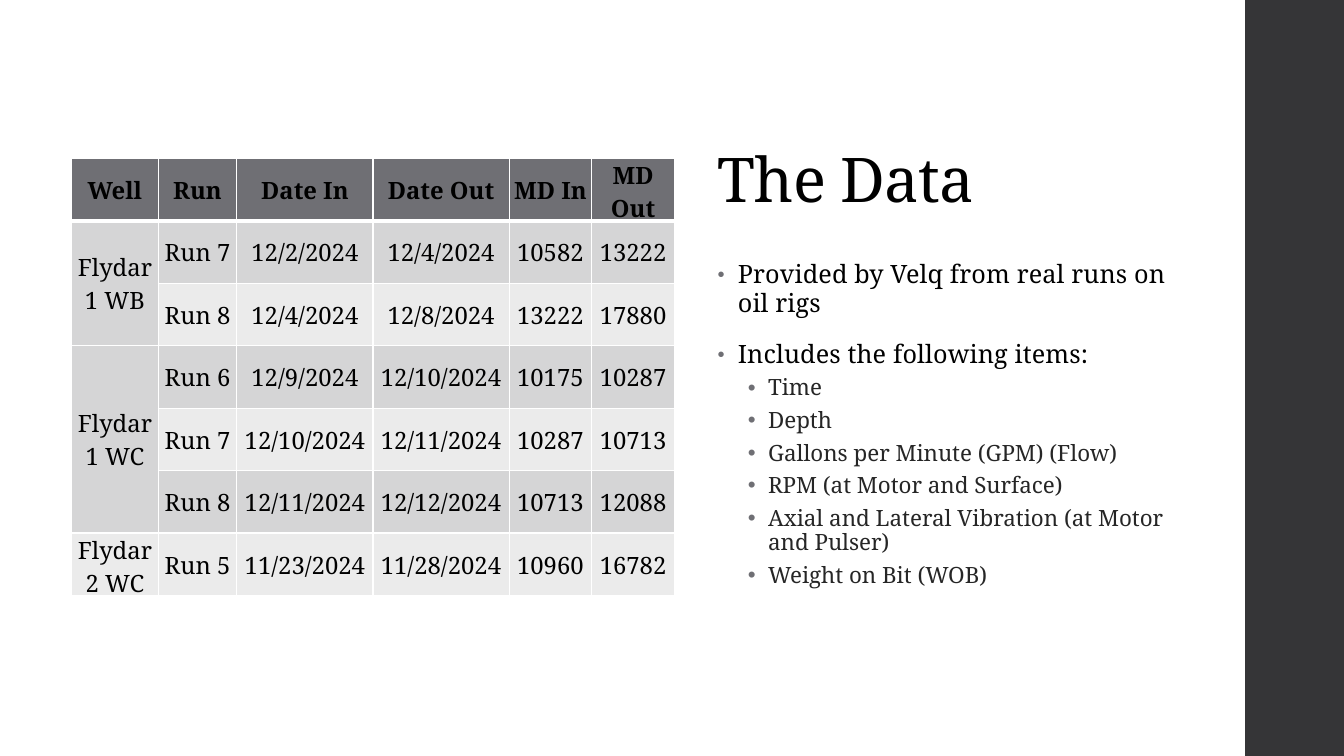
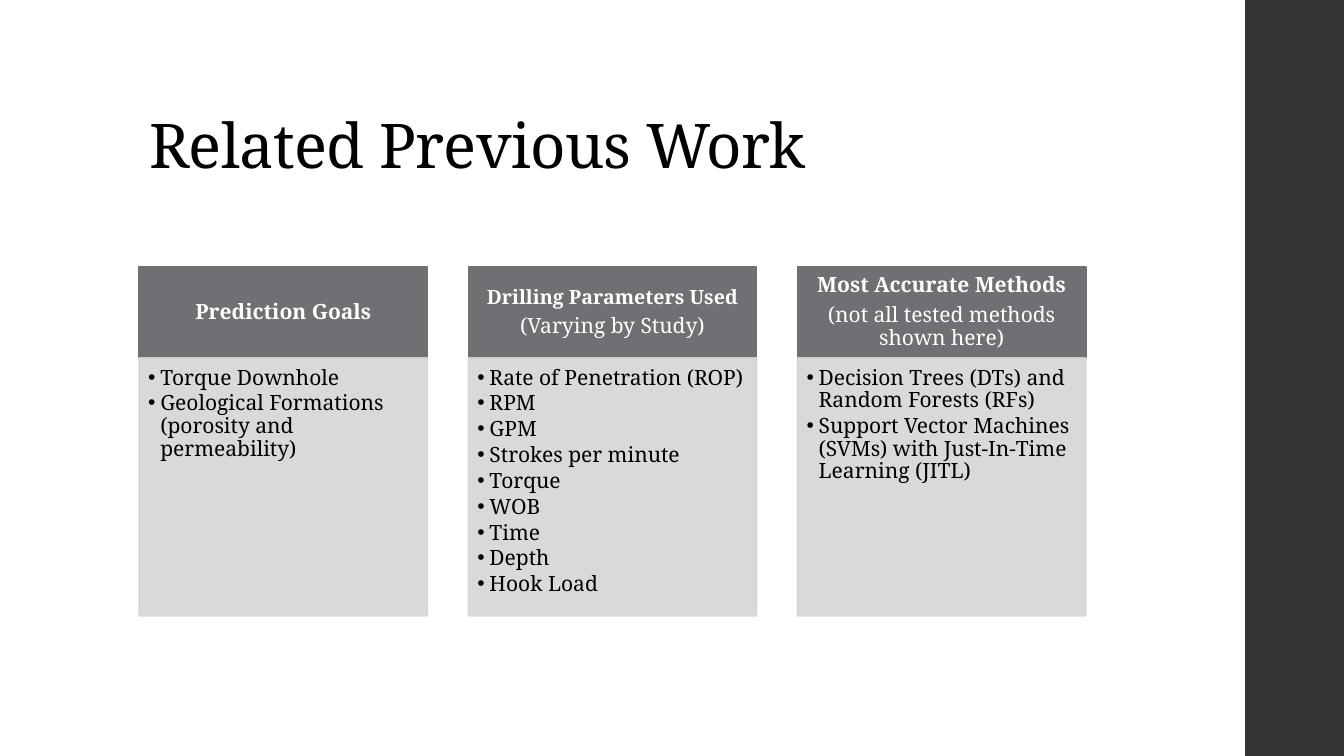
"""Builds two slides: the drilling data table and the related previous work."""
from dataclasses import dataclass
from typing import Optional

from lxml import etree
from pptx import Presentation
from pptx import util as u
from pptx.dml.color import RGBColor
from pptx.enum import shapes, text
from pptx.oxml import ns

FONT = "Noto Serif"
BLACK, WHITE, INK = "000000", "FFFFFF", "262626"
BAND, GREY, LIGHT, PALE = "353537", "6F6F74", "D5D5D6", "EBEBEB"


@dataclass(frozen=True)
class Style:
    size: float
    color: str = BLACK
    bold: bool = False
    tracking: int = 0
    align: Optional[text.PP_ALIGN] = None
    line: float = 0.9
    before: float = 0
    after: float = 0
    margin: float = 0
    hang: float = 0
    level: int = 0
    bullet_color: str = BLACK
    bullet_size: int = 100


@dataclass(frozen=True)
class Box:
    x: float
    y: float
    w: float
    h: float

    def lengths(self) -> tuple:
        return tuple(u.Inches(v) for v in (self.x, self.y, self.w, self.h))


@dataclass(frozen=True)
class Card:
    heading: list
    items: list


CENTER = text.PP_ALIGN.CENTER
TITLE = Style(44, tracking=-50)
POINT = Style(18, tracking=10, line=0.95, before=14, after=2, margin=0.2, hang=0.2,
              bullet_color=GREY, bullet_size=80)
SUBPOINT = Style(16, INK, before=3, after=3, margin=0.5, hang=0.2, level=1,
                 bullet_color=GREY)
HEAD_CELL = Style(17, bold=True, align=CENTER, line=1)
BODY_CELL = Style(17, align=CENTER, line=1)
HEADING = Style(15, WHITE, True, align=CENTER, after=5.25)
TIGHT_HEADING = Style(14, WHITE, True, align=CENTER, after=4.9)
SUBHEADING = Style(15, WHITE, align=CENTER, after=5.25)
ITEM = Style(15, after=2.25, margin=0.12, hang=0.12, level=1)

DATA_POINTS = [
    ("Provided by Velq from real runs on oil rigs", POINT),
    ("Includes the following items:", POINT),
    ("Time", SUBPOINT),
    ("Depth", SUBPOINT),
    ("Gallons per Minute (GPM) (Flow)", SUBPOINT),
    ("RPM (at Motor and Surface)", SUBPOINT),
    ("Axial and Lateral Vibration (at Motor and Pulser)", SUBPOINT),
    ("Weight on Bit (WOB)", SUBPOINT),
]
COLUMNS = [0.86, 0.78, 1.35, 1.35, 0.82, 0.82]
ROW_HEIGHT = 0.62
RUNS = [
    ("Well", "Run", "Date In", "Date Out", "MD In", "MD Out"),
    ("Flydar 1 WB", "Run 7", "12/2/2024", "12/4/2024", "10582", "13222"),
    ("", "Run 8", "12/4/2024", "12/8/2024", "13222", "17880"),
    ("Flydar 1 WC", "Run 6", "12/9/2024", "12/10/2024", "10175", "10287"),
    ("", "Run 7", "12/10/2024", "12/11/2024", "10287", "10713"),
    ("", "Run 8", "12/11/2024", "12/12/2024", "10713", "12088"),
    ("Flydar 2 WC", "Run 5", "11/23/2024", "11/28/2024", "10960", "16782"),
]
WELL_SPANS = [(1, 2), (3, 5)]
CARDS = [
    Card([("Prediction Goals", HEADING)],
         ["Torque Downhole", "Geological Formations (porosity and permeability)"]),
    Card([("Drilling Parameters Used", TIGHT_HEADING), ("(Varying by Study)", SUBHEADING)],
         ["Rate of Penetration (ROP)", "RPM", "GPM", "Strokes per minute", "Torque",
          "WOB", "Time", "Depth", "Hook Load"]),
    Card([("Most Accurate Methods", HEADING),
          ("(not all tested methods shown here)", SUBHEADING)],
         ["Decision Trees (DTs) and Random Forests (RFs)",
          "Support Vector Machines (SVMs) with Just-In-Time Learning (JITL)"]),
]


def rgb(color: str) -> RGBColor:
    return RGBColor.from_string(color)


def add_xml(parent, tag: str, **attrs):
    return etree.SubElement(parent, ns.qn(tag), attrs)


def add_bullet(p, style: Style) -> None:
    ppr = p._p.get_or_add_pPr()
    ppr.set("marL", str(u.Inches(style.margin)))
    ppr.set("indent", str(-u.Inches(style.hang)))
    add_xml(add_xml(ppr, "a:buClr"), "a:srgbClr", val=style.bullet_color)
    add_xml(ppr, "a:buSzPct", val=str(style.bullet_size * 1000))
    add_xml(ppr, "a:buFont", typeface="Arial")
    add_xml(ppr, "a:buChar", char="•")


def write(tf, lines: list) -> None:
    tf.word_wrap = True
    for i, (words, style) in enumerate(lines):
        p = tf.paragraphs[0] if i == 0 else tf.add_paragraph()
        p.alignment = style.align or text.PP_ALIGN.LEFT
        p.level = style.level
        p.line_spacing = style.line
        p.space_before, p.space_after = u.Pt(style.before), u.Pt(style.after)
        if style.hang:
            add_bullet(p, style)
        r = p.add_run()
        r.text = words
        r.font.name, r.font.size, r.font.bold = FONT, u.Pt(style.size), style.bold
        r.font.color.rgb = rgb(style.color)
        if style.tracking:
            r._r.get_or_add_rPr().set("spc", str(style.tracking))


def set_margins(target, left: float, top: float, right: float, bottom: float) -> None:
    target.margin_left, target.margin_top = u.Inches(left), u.Inches(top)
    target.margin_right, target.margin_bottom = u.Inches(right), u.Inches(bottom)


def add_text(s, box: Box, lines: list, anchor=text.MSO_ANCHOR.TOP) -> None:
    tf = s.shapes.add_textbox(*box.lengths()).text_frame
    tf.vertical_anchor = anchor
    write(tf, lines)


def add_rect(s, box: Box, color: str, outlined: bool = False, opacity: int = 100):
    sp = s.shapes.add_shape(shapes.MSO_SHAPE.RECTANGLE, *box.lengths())
    sp.shadow.inherit = False
    sp.fill.solid()
    sp.fill.fore_color.rgb = rgb(color)
    if outlined:
        sp.line.color.rgb = rgb(color)
        sp.line.width = u.Pt(1.1)
    else:
        sp.line.fill.background()
    if opacity < 100:
        for clr in sp._element.spPr.iter(ns.qn("a:srgbClr")):
            add_xml(clr, "a:alpha", val=str(opacity * 1000))
    return sp


def add_slide(prs, title: str, title_box: Box):
    s = prs.slides.add_slide(prs.slide_layouts[6])
    add_rect(s, Box(12.35, 0, 1, 7.5), BAND)
    add_text(s, title_box, [(title, TITLE)], text.MSO_ANCHOR.BOTTOM)
    return s


def add_borders(cell, top: float, bottom: float) -> None:
    tcpr = cell._tc.get_or_add_tcPr()
    for side, width in (("L", 1), ("R", 1), ("T", top), ("B", bottom)):
        ln = add_xml(tcpr, f"a:ln{side}", w=str(u.Pt(width)))
        add_xml(add_xml(ln, "a:solidFill"), "a:srgbClr", val=WHITE)


def add_run_table(s, x: float, y: float) -> None:
    box = Box(x, y, sum(COLUMNS), ROW_HEIGHT * len(RUNS))
    table = s.shapes.add_table(len(RUNS), len(COLUMNS), *box.lengths()).table
    table.horz_banding = False
    for column, width in zip(table.columns, COLUMNS):
        column.width = u.Inches(width)
    for i, values in enumerate(RUNS):
        table.rows[i].height = u.Inches(ROW_HEIGHT)
        fill = GREY if i == 0 else LIGHT if i % 2 else PALE
        for j, value in enumerate(values):
            cell = table.cell(i, j)
            add_borders(cell, 3 if i == 1 else 1, 3 if i == 0 else 1)
            cell.fill.solid()
            cell.fill.fore_color.rgb = rgb(fill)
            cell.vertical_anchor = text.MSO_ANCHOR.MIDDLE
            set_margins(cell, 0.01, 0.01, 0.01, 0)
            if value:
                write(cell.text_frame, [(value, BODY_CELL if i else HEAD_CELL)])
    for first, last in WELL_SPANS:
        table.cell(first, 0).merge(table.cell(last, 0))


def add_card(s, card: Card, x: float) -> None:
    top, width, head_height = 2.65, 2.86, 0.9
    head = add_rect(s, Box(x, top, width, head_height), GREY, True)
    head.text_frame.vertical_anchor = text.MSO_ANCHOR.MIDDLE
    set_margins(head.text_frame, 0.12, 0.07, 0.12, 0.07)
    write(head.text_frame, card.heading)
    body = add_rect(s, Box(x, top + head_height, width, 2.56), LIGHT, True, 90)
    body.text_frame.vertical_anchor = text.MSO_ANCHOR.TOP
    set_margins(body.text_frame, 0.09, 0.09, 0.12, 0.13)
    write(body.text_frame, [(item, ITEM) for item in card.items])


def main() -> None:
    prs = Presentation()
    prs.slide_width, prs.slide_height = u.Inches(13.33), u.Inches(7.5)

    s = add_slide(prs, "The Data", Box(7.02, 0.74, 4.96, 1.45))
    add_text(s, Box(7.02, 2.54, 5, 4.22), DATA_POINTS)
    add_run_table(s, 0.71, 1.57)

    s = add_slide(prs, "Related Previous Work", Box(1.38, 0.4, 10.6, 1.45))
    for i, card in enumerate(CARDS):
        add_card(s, card, 1.38 + 3.265 * i)

    prs.save("out.pptx")


if __name__ == "__main__":
    main()
